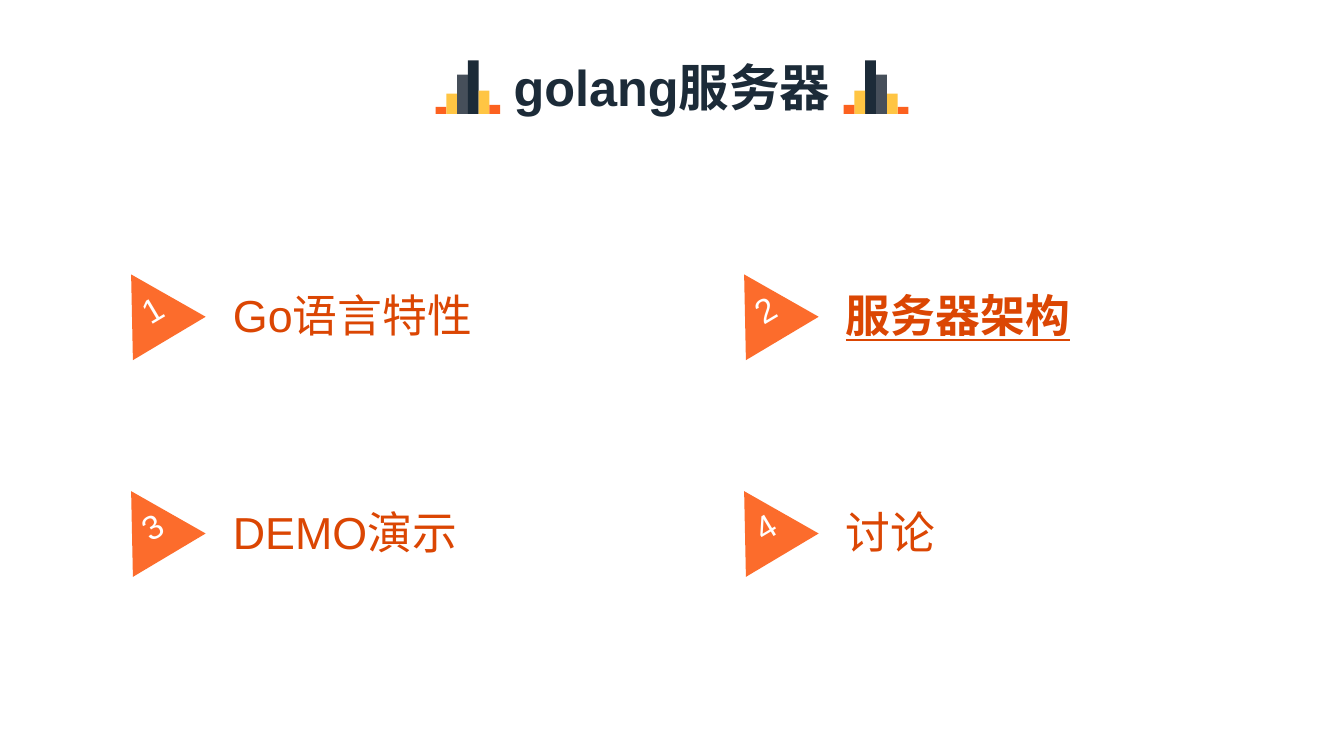
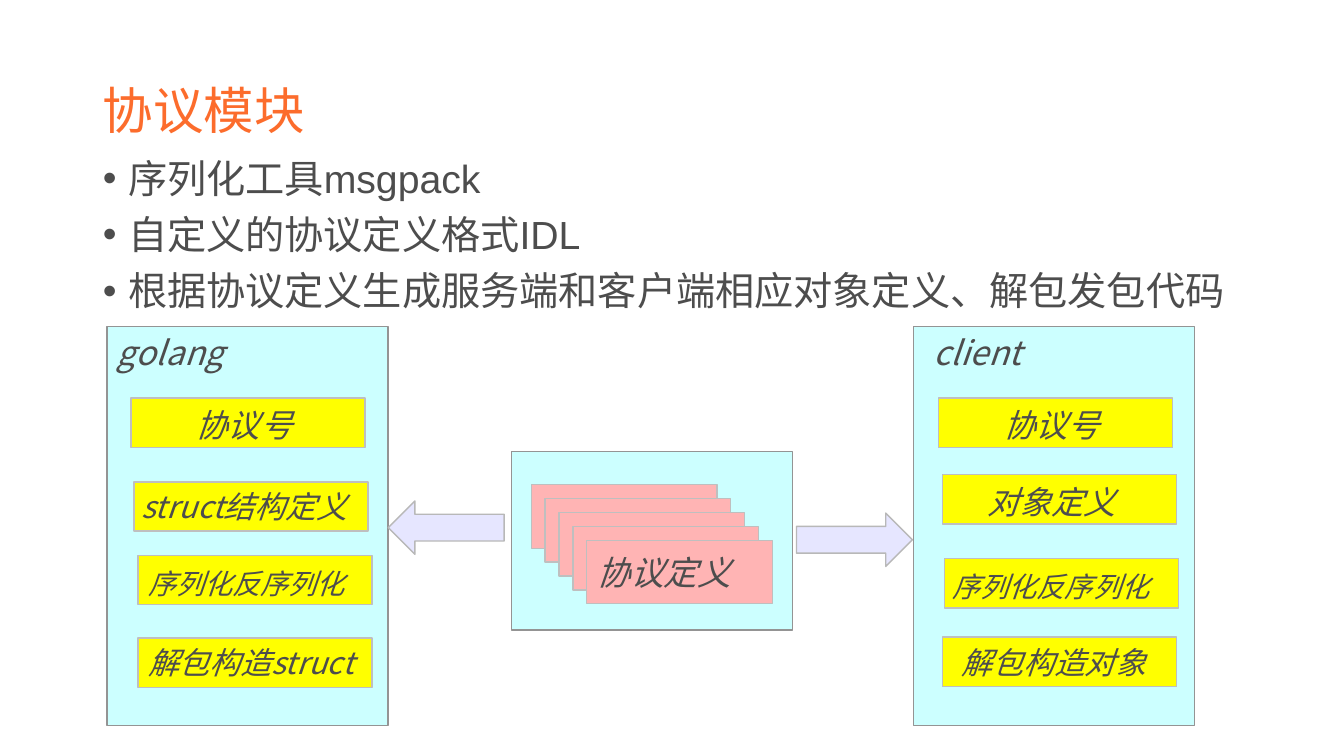
"""Build an agenda slide and a protocol module slide."""
from pptx import Presentation
from pptx.dml.color import RGBColor
from pptx.enum.shapes import MSO_SHAPE
from pptx.enum.text import MSO_ANCHOR, MSO_AUTO_SIZE, PP_ALIGN
from pptx.oxml.ns import qn
from pptx.util import Inches, Pt

RECT = MSO_SHAPE.RECTANGLE
LEFT_ARROW, RIGHT_ARROW = MSO_SHAPE.LEFT_ARROW, MSO_SHAPE.RIGHT_ARROW
TOP, MIDDLE = MSO_ANCHOR.TOP, MSO_ANCHOR.MIDDLE
LEFT, CENTER = PP_ALIGN.LEFT, PP_ALIGN.CENTER
NO_FIT = MSO_AUTO_SIZE.NONE

NAVY = RGBColor(0x1C, 0x2B, 0x38)
SLATE = RGBColor(0x46, 0x4F, 0x5A)
AMBER = RGBColor(0xFF, 0xC5, 0x43)
FLAME = RGBColor(0xFC, 0x61, 0x1F)
ORANGE = RGBColor(0xFC, 0x6C, 0x2C)
RUST = RGBColor(0xDB, 0x46, 0x03)
WHITE = RGBColor(0xFF, 0xFF, 0xFF)
TEXT = RGBColor(0x4D, 0x4D, 0x4D)
CYAN = RGBColor(0xCC, 0xFF, 0xFF)
PINK = RGBColor(0xFF, 0xB4, 0xB4)
YELLOW = RGBColor(0xFF, 0xFF, 0x00)
LAVENDER = RGBColor(0xE6, 0xE6, 0xFF)
PANEL_LINE = RGBColor(0x94, 0x94, 0x94)
ARROW_LINE = RGBColor(0xB8, 0xB8, 0xB8)
BOX_LINE = RGBColor(0xBF, 0xBF, 0xBF)

SANS, CJK = "Arial", "Noto Sans CJK SC"
SLIDE_W, SLIDE_H = 13.33, 7.5

AGENDA_TITLE = "golang服务器"
AGENDA = [
    ("Go语言特性", {}),
    ("服务器架构", {"bold": True, "underline": True}),
    ("DEMO演示", {}),
    ("讨论", {}),
]
BARS = [(0.07, FLAME), (0.2, AMBER), (0.39, SLATE),
        (0.53, NAVY), (0.23, AMBER), (0.09, FLAME)]
BAR_LEFT, BAR_BASE, BAR_W = 4.32, 1.13, 0.107

PROTOCOL_TITLE = "协议模块"
BULLETS = [
    "序列化工具msgpack",
    "自定义的协议定义格式IDL",
    "根据协议定义生成服务端和客户端相应对象定义、解包发包代码",
]
PANELS = [
    ("golang", 1.06, 0.1, [
        ("协议号", 23, 1.3, 3.95, 0.64, 0.07),
        ("struct结构定义", 22, 1.33, 4.78, 0.07, 0.06),
        ("序列化反序列化", 20, 1.37, 5.51, 0.1, 0.11),
        ("解包构造struct", 22, 1.37, 6.33, 0.1, 0.06),
    ]),
    ("client", 9.06, 0.2, [
        ("协议号", 23, 9.31, 3.95, 0.64, 0.07),
        ("对象定义", 23, 9.35, 4.71, 0.44, 0.08),
        ("序列化反序列化", 20, 9.37, 5.54, 0.08, 0.11),
        ("解包构造对象", 22, 9.35, 6.32, 0.19, 0.07),
    ]),
]
ARROWS = [(LEFT_ARROW, 3.85, 4.97), (RIGHT_ARROW, 7.9, 5.09)]
CARD_LABEL, CARD_COUNT, CARD_STEP = "协议定义", 5, 0.1375


def write(p, text, size, color, font=SANS, **styles):
    """Add one formatted run to a paragraph."""
    r = p.add_run()
    r.text = text
    values = {"name": font, "size": Pt(size), **styles}
    for name, value in values.items():
        setattr(r.font, name, value)
    r.font.color.rgb = color
    ea = r.font._element.makeelement(qn("a:ea"), {"typeface": CJK})
    r.font._element.find(qn("a:latin")).addnext(ea)


def set_frame(tf, anchor, margins):
    """Set wrapping, anchor and left, top, right, bottom margins."""
    tf.word_wrap, tf.auto_size, tf.vertical_anchor = True, NO_FIT, anchor
    for side, value in zip(("left", "top", "right", "bottom"), margins):
        setattr(tf, f"margin_{side}", Inches(value))


def place(sp, x, y, w, h):
    """Position a shape in inches."""
    sp.left, sp.top, sp.width, sp.height = map(Inches, (x, y, w, h))


def set_title(s, text, box, color, align, **styles):
    """Fill and place the title placeholder."""
    sp = s.shapes.title
    place(sp, *box)
    set_frame(sp.text_frame, MIDDLE, (0.1, 0.05, 0.1, 0.05))
    p = sp.text_frame.paragraphs[0]
    p.alignment = align
    write(p, text, 36, color, **styles)
    return p


def paint(sp, fill, line=None):
    """Give a shape a flat fill and an optional outline."""
    sp.shadow.inherit = False
    sp.fill.solid()
    sp.fill.fore_color.rgb = fill
    if line is None:
        sp.line.fill.background()
    else:
        sp.line.color.rgb = line
        sp.line.width = Pt(1)


def add_block(shapes, kind, box, fill, line=None):
    """Add a painted preset shape."""
    sp = shapes.add_shape(kind, *map(Inches, box))
    paint(sp, fill, line)
    return sp


def label(sp, text, size, dx, dy):
    """Write an italic label inside a shape."""
    set_frame(sp.text_frame, TOP, (dx, dy, 0, 0))
    p = sp.text_frame.paragraphs[0]
    p.alignment = LEFT
    write(p, text, size, TEXT, CJK, italic=True)


def add_bars(s, mirrored):
    """Add the bar ornament at one side of the title."""
    group = s.shapes.add_group_shape()
    for i, (height, color) in enumerate(BARS):
        x = BAR_LEFT + i * BAR_W
        if mirrored:
            x = SLIDE_W - x - BAR_W
        add_block(group.shapes, RECT, (x, BAR_BASE - height, BAR_W, height), color)


def add_agenda_item(s, number, text, styles):
    """Add a numbered triangle and its topic."""
    row, col = divmod(number - 1, 2)
    x, y, w, h = 1.07 + col * 6.08, 2.67 + row * 2.15, 0.84, 0.74
    corners = [(x + w / 2, y), (x + w, y + h), (x, y + h)]
    points = [(Inches(px), Inches(py)) for px, py in corners]
    builder = s.shapes.build_freeform(*points[0])
    builder.add_line_segments(points[1:], close=True)
    sp = builder.convert_to_shape()
    sp.rotation = 329.2
    paint(sp, ORANGE)
    set_frame(sp.text_frame, MIDDLE, (0, 0.06, 0, 0))
    p = sp.text_frame.paragraphs[0]
    p.alignment = CENTER
    write(p, str(number), 24, WHITE)

    topic = s.shapes.add_textbox(*map(Inches, (x + 1.24, y + 0.03, 3.88, 0.85)))
    set_frame(topic.text_frame, MIDDLE, (0, 0, 0, 0))
    write(topic.text_frame.paragraphs[0], text, 32, RUST, **styles)


def build_agenda(prs):
    """Build the agenda slide."""
    s = prs.slides.add_slide(prs.slide_layouts[5])
    set_title(s, AGENDA_TITLE, (4.96, 0.32, 3.41, 1.08), NAVY, CENTER, bold=True)
    for mirrored in (False, True):
        add_bars(s, mirrored)
    for number, (text, styles) in enumerate(AGENDA, 1):
        add_agenda_item(s, number, text, styles)


def build_protocol(prs):
    """Build the protocol module slide."""
    s = prs.slides.add_slide(prs.slide_layouts[1])
    title = set_title(s, PROTOCOL_TITLE, (0.92, 0.4, 11.5, 1.45), ORANGE, LEFT)
    title.line_spacing = 0.9

    body = s.placeholders[1]
    place(body, 0.92, 1.53, 11.5, 5.07)
    tf = body.text_frame
    set_frame(tf, TOP, (0.1, 0.05, 0.1, 0.05))
    for i, text in enumerate(BULLETS):
        p = tf.add_paragraph() if i else tf.paragraphs[0]
        p.line_spacing, p.space_before = 0.9, Pt(10)
        pPr = p._p.get_or_add_pPr()
        pPr.set("marL", str(Inches(0.25)))
        pPr.set("indent", str(Inches(-0.25)))
        write(p, text, 28, TEXT)

    add_block(s.shapes, RECT, (5.07, 4.48, 2.79, 1.77), CYAN, PANEL_LINE)
    for i in range(CARD_COUNT):
        offset = i * CARD_STEP
        box = (5.27 + offset, 4.81 + offset, 1.84, 0.63)
        card = add_block(s.shapes, RECT, box, PINK, BOX_LINE)
    label(card, CARD_LABEL, 24, 0.1, 0.12)

    for heading, left, indent, boxes in PANELS:
        panel = add_block(s.shapes, RECT, (left, 3.24, 2.79, 3.96), CYAN, PANEL_LINE)
        label(panel, heading, 24, indent, 0.05)
        for text, size, x, y, dx, dy in boxes:
            sp = add_block(s.shapes, RECT, (x, y, 2.32, 0.49), YELLOW, BOX_LINE)
            label(sp, text, size, dx, dy)
    for kind, x, y in ARROWS:
        add_block(s.shapes, kind, (x, y, 1.15, 0.53), LAVENDER, ARROW_LINE)


def main():
    """Create and save the presentation."""
    prs = Presentation()
    prs.slide_width, prs.slide_height = Inches(SLIDE_W), Inches(SLIDE_H)
    build_agenda(prs)
    build_protocol(prs)
    prs.save("out.pptx")


if __name__ == "__main__":
    main()
